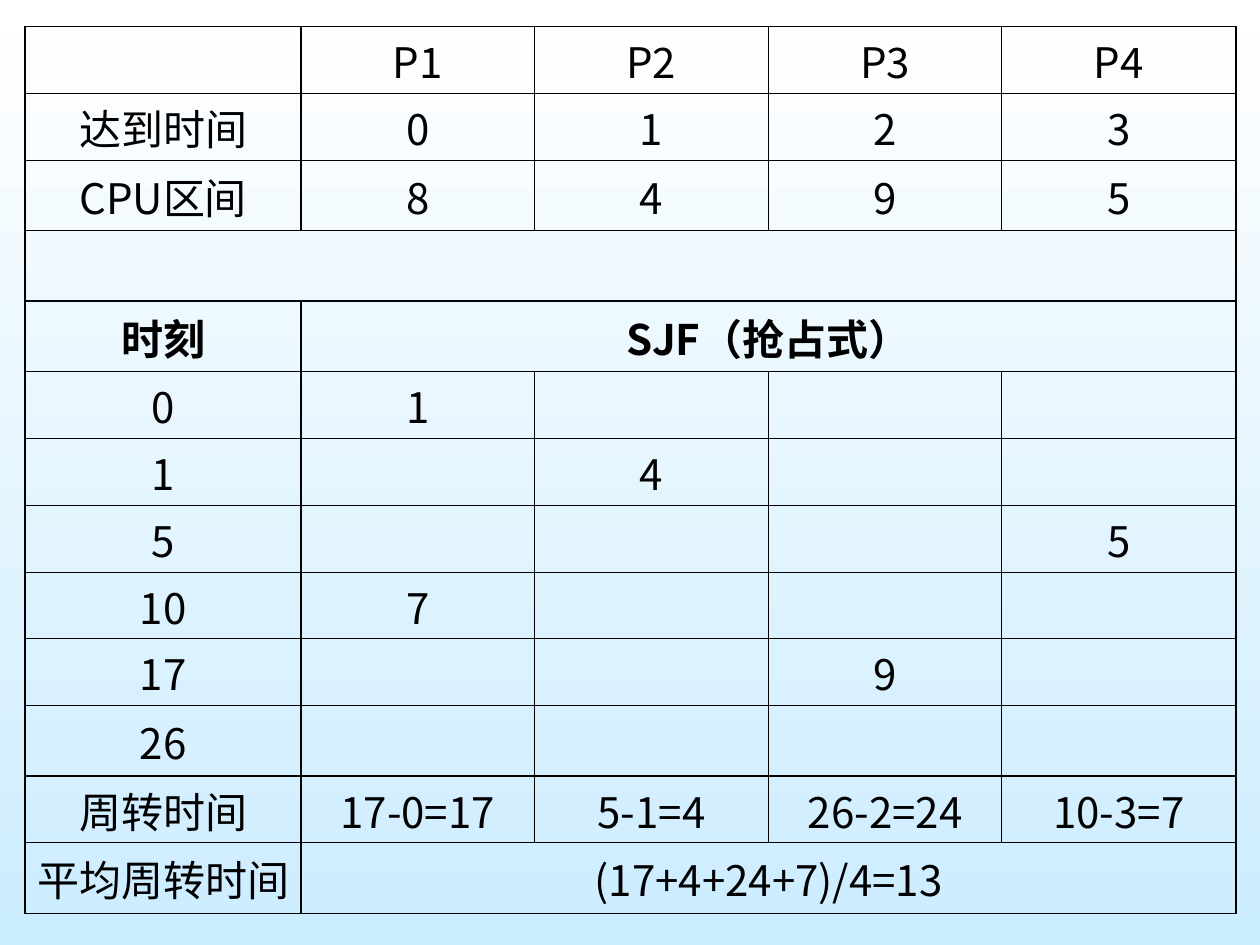
import lxml.etree
import pptx
import pptx.dml.color
import pptx.enum.text
import pptx.oxml.ns
import pptx.util

INCH = pptx.util.Inches
FONT = "Noto Sans CJK SC"
HUES = {"ink": "000000", "top": "FFFFFF", "base": "CCECFF"}
PLAIN = "{2D5ABB26-0587-4C30-8999-92F81FD0307C}"  # no style, no grid
WIDE = [2.19, 1.85, 1.86, 1.85, 1.86]
TALL, SHORT = 0.56, 0.53
TALL_ROWS = {2, 3, 4, 10, 12}
BOLD_ROW = 4
THICK_X = {0, 1, 5}
THICK_Y = {0, 3, 4, 5, 11, 13}
ROWS = [
    ["", "P1", "P2", "P3", "P4"],
    ["达到时间", "0", "1", "2", "3"],
    ["CPU区间", "8", "4", "9", "5"],
    [""],
    ["时刻", "SJF（抢占式）"],
    ["0", "1", "", "", ""],
    ["1", "", "4", "", ""],
    ["5", "", "", "", "5"],
    ["10", "7", "", "", ""],
    ["17", "", "", "9", ""],
    ["26", "", "", "", ""],
    ["周转时间", "17-0=17", "5-1=4", "26-2=24", "10-3=7"],
    ["平均周转时间", "(17+4+24+7)/4=13"],
]


def rule(cell, side, thick):
    props = cell._tc.get_or_add_tcPr()
    line = lxml.etree.SubElement(props, pptx.oxml.ns.qn("a:ln" + side))
    line.set("w", str(pptx.util.Pt(1 if thick else 0.5)))
    fill = lxml.etree.SubElement(line, pptx.oxml.ns.qn("a:solidFill"))
    lxml.etree.SubElement(fill, pptx.oxml.ns.qn("a:srgbClr"), val=HUES["ink"])


def write(cell, text, bold):
    para = cell.text_frame.paragraphs[0]
    para.alignment = pptx.enum.text.PP_ALIGN.CENTER
    run = para.add_run()
    run.text = text
    run.font.size = pptx.util.Pt(24)
    run.font.bold = bold
    run.font.color.rgb = pptx.dml.color.RGBColor.from_string(HUES["ink"])
    run.font.name = FONT
    lxml.etree.SubElement(run.font._element, pptx.oxml.ns.qn("a:ea"), typeface=FONT)


deck = pptx.Presentation()
deck.slide_width, deck.slide_height = INCH(10), INCH(7.5)
slide = deck.slides.add_slide(deck.slide_layouts[6])

back = slide.background.fill
back.gradient()
back.gradient_angle = 270
for stop, hue, place in zip(back.gradient_stops, ("top", "base"), (0, 1)):
    stop.color.rgb = pptx.dml.color.RGBColor.from_string(HUES[hue])
    stop.position = place

highs = [TALL if y in TALL_ROWS else SHORT for y in range(len(ROWS))]
frame = slide.shapes.add_table(len(ROWS), len(WIDE), INCH(0.2), INCH(0.21),
                               INCH(sum(WIDE)), INCH(sum(highs)))
table = frame.table
table.first_row = table.horz_banding = False
table._tbl.tblPr.find(pptx.oxml.ns.qn("a:tableStyleId")).text = PLAIN
for col, width in zip(table.columns, WIDE):
    col.width = INCH(width)
for row, height in zip(table.rows, highs):
    row.height = INCH(height)

for y, texts in enumerate(ROWS):
    # A short row stretches its last cell to the right edge.
    for x, text in enumerate(texts):
        end = len(WIDE) if x == len(texts) - 1 else x + 1
        cell = table.cell(y, x)
        if end > x + 1:
            cell.merge(table.cell(y, end - 1))
        cell.vertical_anchor = pptx.enum.text.MSO_ANCHOR.MIDDLE
        cell.margin_left = cell.margin_right = cell.margin_top = INCH(0.01)
        cell.margin_bottom = 0
        rule(cell, "L", x in THICK_X)
        rule(cell, "R", end in THICK_X)
        rule(cell, "T", y in THICK_Y)
        rule(cell, "B", y + 1 in THICK_Y)
        cell.fill.background()
        if text:
            write(cell, text, y == BOLD_ROW)

deck.save("out.pptx")
